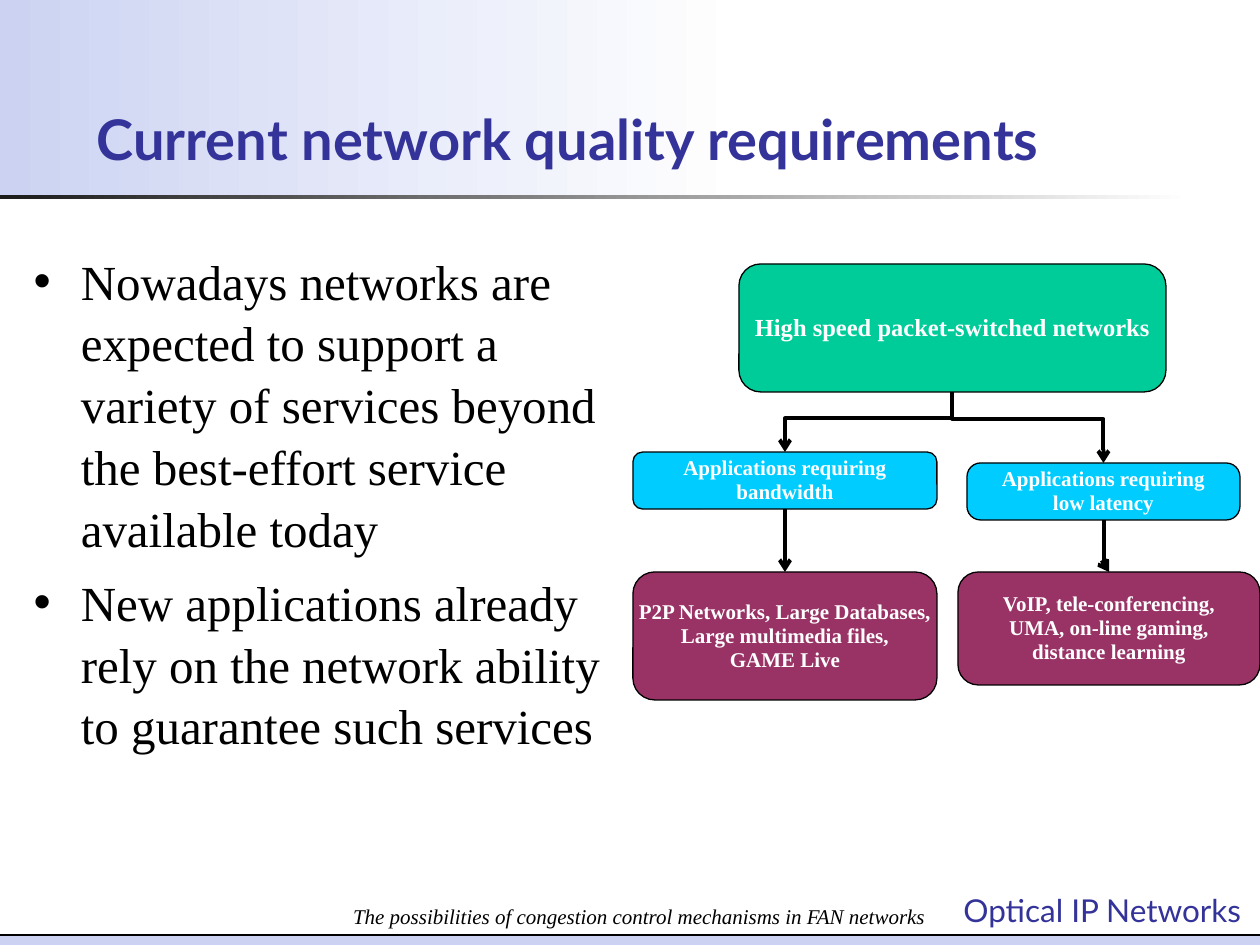
import pptx
import pptx.dml.color
import pptx.enum.shapes
import pptx.enum.text
import pptx.oxml
import pptx.oxml.ns
import pptx.util

PX = 914400 / 126
SERIF, SANS = "Times New Roman", "Lato"
COLORS = {
    "ink": "000000", "white": "FFFFFF", "navy": "333399", "lavender": "CCD3F2",
    "charcoal": "1C1C1C", "green": "00CC99", "cyan": "00CCFF", "plum": "993366",
}
RGB = {name: pptx.dml.color.RGBColor.from_string(code) for name, code in COLORS.items()}
ALIGN = pptx.enum.text.PP_ALIGN
ANCHOR = pptx.enum.text.MSO_ANCHOR
SHAPE = pptx.enum.shapes.MSO_SHAPE
CONNECTOR = pptx.enum.shapes.MSO_CONNECTOR


def emu(*lengths):
    return [pptx.util.Emu(round(length * PX)) for length in lengths]


def write(frame, text, size, font, color, paragraph_format, **font_format):
    """Fill a text frame, one paragraph for each line of text, all formatted alike."""
    frame.text = text
    for paragraph in frame.paragraphs:
        for key, value in paragraph_format.items():
            setattr(paragraph, key, value)
        font_values = {"size": pptx.util.Pt(size), "name": font, **font_format}
        for key, value in font_values.items():
            setattr(paragraph.font, key, value)
        paragraph.font.color.rgb = RGB[color]


prs = pptx.Presentation()
prs.slide_width, prs.slide_height = emu(1260, 945)
slide = prs.slides.add_slide(prs.slide_layouts[1])
shapes = slide.shapes
title, body = shapes.title, slide.placeholders[1]

# Background bands
for box, band_colors in [
    ((0, 0, 746, 199), ("lavender", "white")),
    ((0, 195, 1191, 4), ("charcoal", "white")),
    ((0, 935, 1260, 10), ("lavender",)),
]:
    band = shapes.add_shape(SHAPE.RECTANGLE, *emu(*box))
    band.shadow.inherit = False
    band.line.fill.background()
    if len(band_colors) == 1:
        band.fill.solid()
        band.fill.fore_color.rgb = RGB[band_colors[0]]
    else:
        band.fill.gradient()
        band.fill.gradient_angle = 0
        for stop, color in zip(band.fill.gradient_stops, band_colors):
            stop.color.rgb = RGB[color]
    # Bands lie behind the title and body
    shapes._spTree.remove(band._element)
    title._element.addprevious(band._element)

# Title and bullets
for placeholder, box, anchor in [
    (title, (84, 14, 977, 164), ANCHOR.BOTTOM),
    (body, (21, 242, 596, 604), ANCHOR.TOP),
]:
    placeholder.left, placeholder.top, placeholder.width, placeholder.height = emu(*box)
    placeholder.text_frame.auto_size = pptx.enum.text.MSO_AUTO_SIZE.NONE
    placeholder.text_frame.vertical_anchor = anchor

write(title.text_frame, "Current network quality requirements", 32, SANS, "navy",
      {"alignment": ALIGN.LEFT}, bold=True)
write(body.text_frame,
      "Nowadays networks are expected to support a variety of services beyond "
      "the best-effort service available today\n"
      "New applications already rely on the network ability to guarantee such services",
      28, SERIF, "ink", {"line_spacing": 1.05, "space_before": pptx.util.Pt(7)})
body.text_frame.paragraphs[0].space_before = pptx.util.Pt(0)

# Diagram boxes
nodes = {}
for key, box, corner, color, size, text in [
    ("network", (739, 264, 427, 128), 0.17, "green", 14,
     "High speed packet-switched networks"),
    ("bandwidth", (633, 452, 304, 57), 0.17, "cyan", 12,
     "Applications requiring\nbandwidth"),
    ("latency", (967, 463, 273, 57), 0.24, "cyan", 12,
     "Applications requiring\nlow latency"),
    ("realtime", (958, 572, 302, 113), 0.18, "plum", 12,
     "VoIP, tele-conferencing,\nUMA, on-line gaming,\ndistance learning"),
    ("bulk", (633, 572, 304, 128), 0.17, "plum", 12,
     "P2P Networks, Large Databases,\nLarge multimedia files,\nGAME Live"),
]:
    node = nodes[key] = shapes.add_shape(SHAPE.ROUNDED_RECTANGLE, *emu(*box))
    node.adjustments[0] = corner
    node.shadow.inherit = False
    node.fill.solid()
    node.fill.fore_color.rgb = RGB[color]
    node.line.color.rgb = RGB["ink"]
    node.line.width = pptx.util.Pt(0.75)
    frame = node.text_frame
    frame.word_wrap = False
    frame.vertical_anchor = ANCHOR.MIDDLE
    frame.margin_left, frame.margin_right, frame.margin_top, frame.margin_bottom = emu(3, 3, 1, 1)
    write(frame, text, size, SERIF, "white",
          {"alignment": ALIGN.CENTER, "line_spacing": 0.95}, bold=True)

# Straight lines: the footer rule and the arrow under the bandwidth box
footer_rule = shapes.add_connector(CONNECTOR.STRAIGHT, *emu(0, 935, 1260, 935))
bulk_arrow = shapes.add_connector(CONNECTOR.STRAIGHT, *emu(785, 509, 785, 572))
bulk_arrow.begin_connect(nodes["bandwidth"], 2)
bulk_arrow.end_connect(nodes["bulk"], 0)
arrows = [bulk_arrow]

# Elbows run down, across and down, so each is a turned horizontal elbow
for parent, child, bend in [
    ("network", "bandwidth", 0.44),
    ("network", "latency", 0.38),
    ("latency", "realtime", 0.84),
]:
    source, target = nodes[parent], nodes[child]
    start_x, start_y = source.left + source.width // 2, source.top + source.height
    end_x, end_y = target.left + target.width // 2, target.top
    drop, shift = end_y - start_y, abs(end_x - start_x)
    left = (start_x + end_x - drop) // 2
    top = (start_y + end_y - shift) // 2
    elbow = shapes.add_connector(CONNECTOR.ELBOW, left, top, left + drop, top + shift)
    transform = elbow._element.spPr.find(pptx.oxml.ns.qn("a:xfrm"))
    if end_x < start_x:
        transform.set("rot", "5400000")
    else:
        transform.set("rot", "16200000")
        transform.set("flipH", "1")
    guides = elbow._element.spPr.find(".//" + pptx.oxml.ns.qn("a:avLst"))
    guides.append(pptx.oxml.parse_xml(
        f'<a:gd {pptx.oxml.ns.nsdecls("a")} name="adj1" fmla="val {round(bend * 100000)}"/>'))
    arrows.append(elbow)

for connector in [footer_rule, *arrows]:
    is_arrow = connector is not footer_rule
    connector.line.color.rgb = RGB["ink"]
    connector.line.width = pptx.util.Pt(2.25 if is_arrow else 0.75)
    if is_arrow:
        connector.line._get_or_add_ln().append(pptx.oxml.parse_xml(
            f'<a:tailEnd {pptx.oxml.ns.nsdecls("a")} type="arrow"/>'))
    connector._element.spPr.append(
        pptx.oxml.parse_xml(f'<a:effectLst {pptx.oxml.ns.nsdecls("a")}/>'))

# Footer
course = shapes.add_textbox(*emu(951, 885, 309, 50)).text_frame
course.word_wrap = False
write(course, "Optical IP Networks", 18, SANS, "navy", {"alignment": ALIGN.LEFT})

talk = shapes.add_textbox(*emu(312, 872, 655, 63)).text_frame
talk.word_wrap = True
talk.vertical_anchor = ANCHOR.BOTTOM
write(talk, "The possibilities of congestion control mechanisms in FAN networks",
      12, SERIF, "ink", {"alignment": ALIGN.CENTER}, italic=True)

prs.save("out.pptx")
